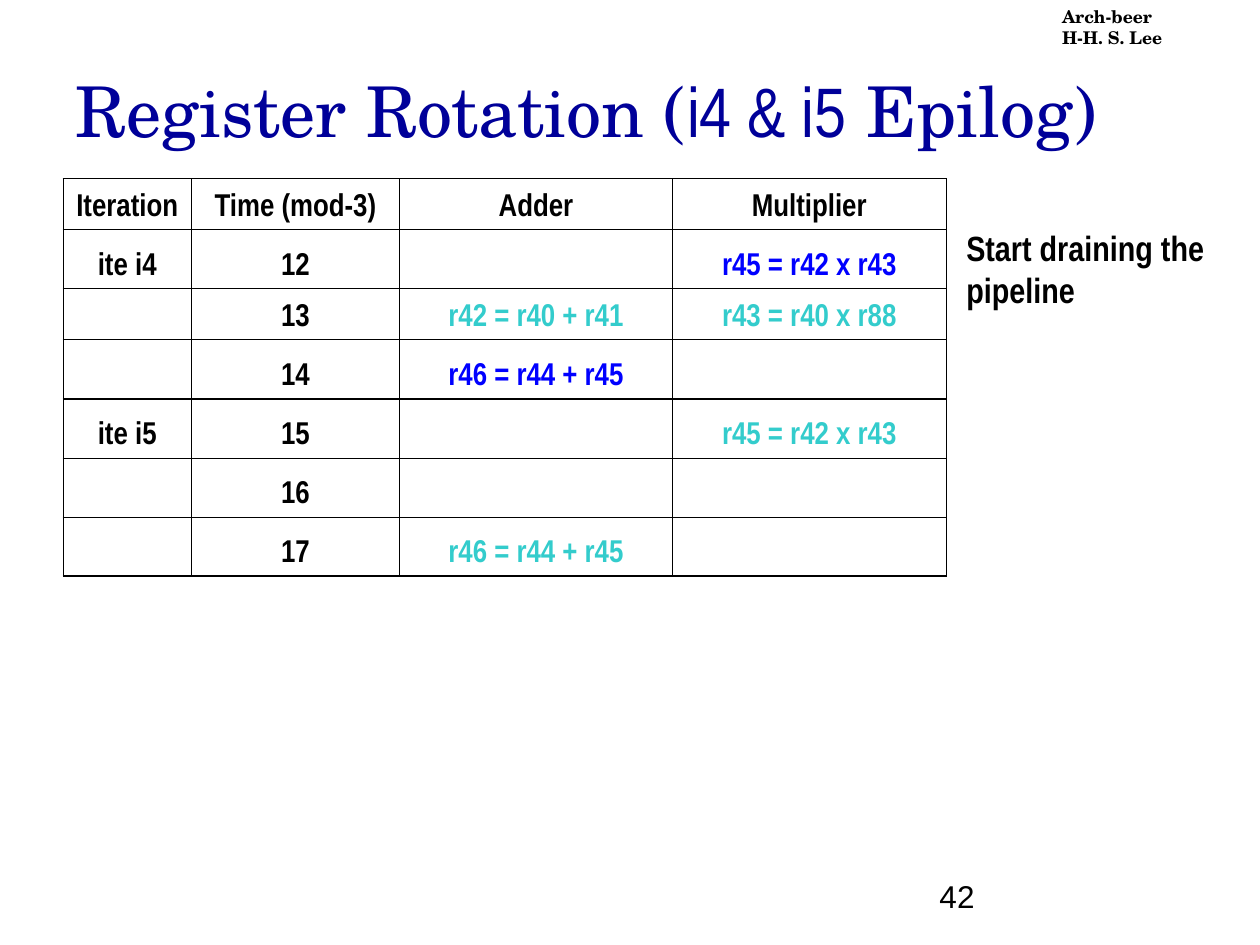
import dataclasses

import pptx
import pptx.dml.color
import pptx.enum.text
import pptx.oxml
import pptx.oxml.ns
import pptx.util

Cm = pptx.util.Cm
Pt = pptx.util.Pt
Anchor = pptx.enum.text.MSO_ANCHOR
Align = pptx.enum.text.PP_ALIGN


@dataclasses.dataclass(frozen=True)
class Theme:
    black: str = "000000"
    navy: str = "000099"
    blue: str = "0000FF"
    teal: str = "33CCCC"
    serif: str = "TeX Gyre Schola"
    narrow: str = "Arial Narrow"
    sans: str = "Arial"
    title_size: int = 40
    note_size: int = 20
    body_size: int = 18
    credit_size: int = 10
    thin: float = 0.45
    thick: float = 1.08


THEME = Theme()


def add_span(para, text, font=THEME.narrow, size=THEME.body_size,
             color=THEME.black, bold=False):
    span = para.add_run()
    span.text = text
    span.font.name = font
    span.font.size = Pt(size)
    span.font.bold = bold
    span.font.color.rgb = pptx.dml.color.RGBColor.from_string(color)


class PageBuilder:
    def __init__(self, page, theme):
        self.page = page
        self.theme = theme

    def text(self, left, top, width, height, lines, anchor=Anchor.TOP):
        """Each line is a list of (text, format) pairs."""
        box = self.page.shapes.add_textbox(Cm(left), Cm(top), Cm(width), Cm(height))
        frame = box.text_frame
        frame.word_wrap = True
        frame.vertical_anchor = anchor
        for index, line in enumerate(lines):
            para = frame.add_paragraph() if index else frame.paragraphs[0]
            for text, style in line:
                add_span(para, text, **style)

    def border(self, cell, side, width):
        line = pptx.oxml.parse_xml(
            f'<a:ln{side} {pptx.oxml.ns.nsdecls("a")} w="{int(Pt(width))}"><a:solidFill>'
            f'<a:srgbClr val="{self.theme.black}"/></a:solidFill></a:ln{side}>')
        cell._tc.get_or_add_tcPr().append(line)

    def table(self, left, top, widths, heights, rows, colors, thick_below):
        frame = self.page.shapes.add_table(
            len(rows), len(widths), Cm(left), Cm(top), Cm(sum(widths)), Cm(sum(heights)))
        table = frame.table
        table.first_row = table.horz_banding = False
        for column, width in zip(table.columns, widths):
            column.width = Cm(width)
        for row, height in zip(table.rows, heights):
            row.height = Cm(height)
        for r, row in enumerate(rows):
            for c, text in enumerate(row):
                cell = table.cell(r, c)
                cell.vertical_anchor = Anchor.BOTTOM
                for side in "LRTB":
                    thick = (side == "B" and r in thick_below
                             or side == "T" and r - 1 in thick_below)
                    self.border(cell, side, self.theme.thick if thick else self.theme.thin)
                cell.fill.background()
                para = cell.text_frame.paragraphs[0]
                para.alignment = Align.CENTER
                if text:
                    add_span(para, text, bold=True,
                             color=colors.get((r, c), self.theme.black))


def main():
    deck = pptx.Presentation()
    deck.slide_width, deck.slide_height = Cm(25.4), Cm(19.05)
    builder = PageBuilder(deck.slides.add_slide(deck.slide_layouts[6]), THEME)

    # Course credit in the corner
    credit = dict(font=THEME.serif, size=THEME.credit_size, bold=True)
    builder.text(21.16, 0, 4.24, 1.12, [[("Arch-beer", credit)], [("H-H. S. Lee", credit)]])

    # Title
    title = dict(font=THEME.serif, size=THEME.title_size, color=THEME.navy)
    builder.text(1.27, 0.84, 21.59, 2.34, [[
        ("Register Rotation (", title),
        ("i4 & i5", {**title, "font": THEME.narrow}),
        (" Epilog)", title)]], Anchor.BOTTOM)

    # Schedule: one row per cycle, coloured by iteration
    rows = [
        ("Iteration", "Time (mod-3)", "Adder", "Multiplier"),
        ("ite i4", "12", "", "r45 = r42 x r43"),
        ("", "13", "r42 = r40 + r41", "r43 = r40 x r88"),
        ("", "14", "r46 = r44 + r45", ""),
        ("ite i5", "15", "", "r45 = r42 x r43"),
        ("", "16", "", ""),
        ("", "17", "r46 = r44 + r45", ""),
    ]
    colors = {(1, 3): THEME.blue, (3, 2): THEME.blue,
              (2, 2): THEME.teal, (2, 3): THEME.teal,
              (4, 3): THEME.teal, (6, 2): THEME.teal}
    # Rows with both units busy, and the header, are lower
    heights = [1.03 if row[2] and row[3] else 1.19 for row in rows]
    builder.table(1.27, 3.6, [2.59, 4.19, 5.51, 5.51], heights, rows, colors,
                  thick_below={3, 6})

    # Side note and page number
    builder.text(19.23, 4.45, 6.17, 1.96, [[
        ("Start draining the pipeline", dict(size=THEME.note_size, bold=True))]])
    builder.text(18.69, 17.3, 5.28, 1.27, [[("42", dict(font=THEME.sans))]], Anchor.BOTTOM)

    deck.save("out.pptx")


if __name__ == "__main__":
    main()
